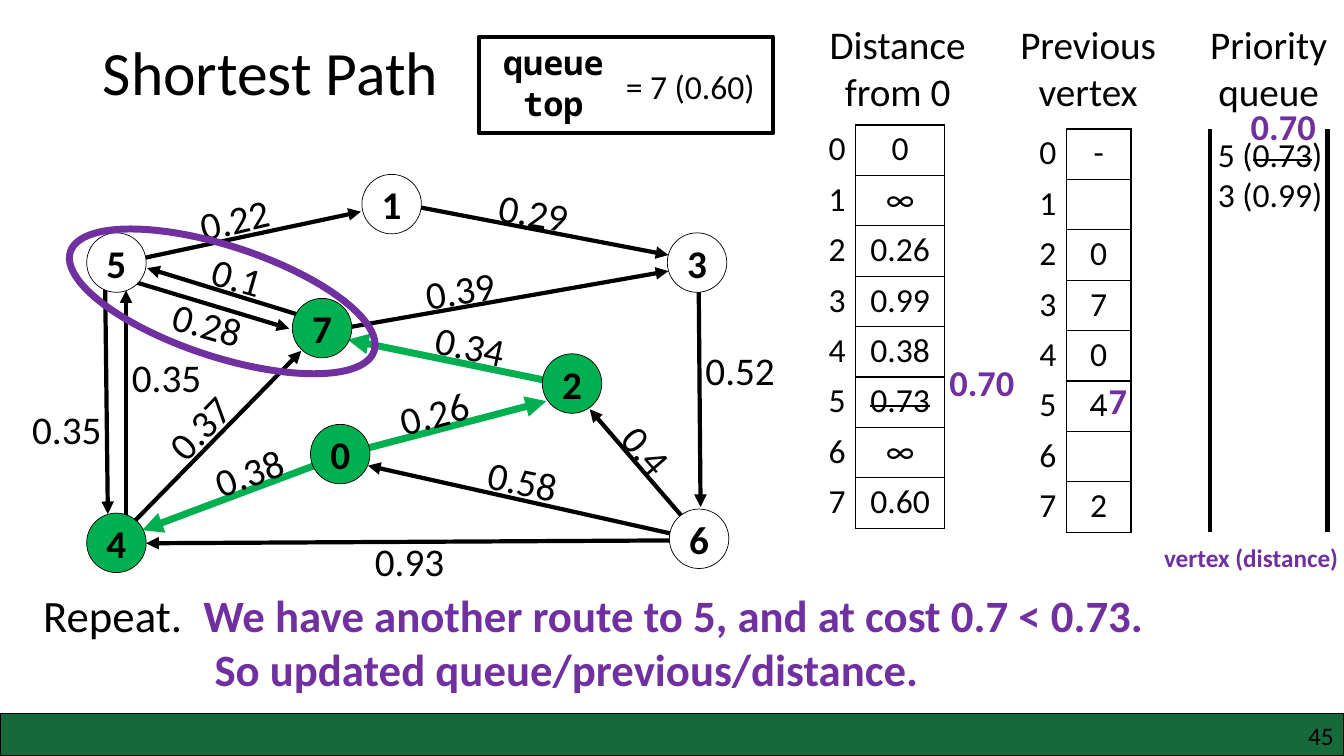
from lxml.etree import SubElement
from pptx import Presentation
from pptx.dml.color import RGBColor
from pptx.enum.shapes import MSO_CONNECTOR as Connector, MSO_SHAPE as Preset
from pptx.enum.text import MSO_ANCHOR as Anchor, PP_ALIGN as Align
from pptx.oxml.ns import qn
from pptx.util import Inches, Pt

BLACK, WHITE, GREEN, PURPLE, BAND = "000000", "FFFFFF", "00B050", "7030A0", "15693B"
COLUMNS, ROWS, CELL = 133.33, 75, 0.1
PLAIN_TABLE = "{2D5ABB26-0587-4C30-8999-92F81FD0307C}"
NODE = 5.9

VERTICES = [
    ("0", 30.8, 42.1, GREEN), ("1", 35.9, 17.3, WHITE), ("2", 53.8, 35.1, GREEN),
    ("3", 66.2, 23.1, WHITE), ("4", 8.6, 50.9, GREEN), ("5", 8.6, 23.1, WHITE),
    ("6", 66.4, 50.5, WHITE), ("7", 29, 29.6, GREEN),
]
EDGES = [
    (69.7, 53.6, 58.5, 40.6), (69.1, 53.5, 36.5, 46.2), (69.3, 53.6, 14.5, 53.9),
    (11.3, 53.8, 29.9, 34.8), (32.7, 32.8, 66.3, 26.9), (69.3, 26.5, 69.5, 50.3),
    (31.8, 31.9, 14.6, 26.6), (10.8, 27.2, 28.7, 32.6), (10.4, 25.3, 10.7, 51),
    (12.5, 52.9, 12.5, 28.8), (11.9, 26.1, 35.8, 21), (39.2, 20.1, 66.3, 25.3),
]
TREE_EDGES = [(34, 45.1, 54.2, 39.8), (34.1, 45.1, 14.1, 52.6), (56.9, 38.3, 34.5, 33.7)]
WEIGHTS = [
    ("0.35", 12.1, 34.6, 0), ("0.35", 2.2, 39.7, 0), ("0.37", 15, 38.7, 314),
    ("0.1", 20, 25.2, 16), ("0.28", 16.1, 29.6, 16), ("0.22", 18.8, 18.6, 347),
    ("0.38", 20.2, 43.6, 340), ("0.26", 38.6, 37.8, 345), ("0.39", 41.2, 25.7, 351),
    ("0.29", 48.5, 18.4, 10), ("0.34", 42.2, 31.7, 12), ("0.52", 69, 33.9, 0),
    ("0.93", 36.2, 52.8, 0), ("0.58", 47.4, 45.1, 12),
]
HEADINGS = [("Distance from 0", 80.5), ("Previous vertex", 99.4), ("Priority queue", 117.3)]
DISTANCES = ["0", "∞", "0.26", "0.99", "0.38", "0.73", "∞", "0.60"]
PREVIOUS = ["-", "", "0", "7", "0", "4", "", "2"]
OUTDATED = 5
UPDATES = [("0.70", 123.1, 9.8), ("7", 109, 37), ("0.70", 93.2, 35.2)]


def color(hex_string):
    return RGBColor.from_string(hex_string)


def grid(*lengths):
    return [Inches(length * CELL) for length in lengths]


def strike(run):
    run.font._element.set("strike", "sngStrike")


class Board:
    font = "Calibri"

    def __init__(self, deck):
        self.slide = deck.slides.add_slide(deck.slide_layouts[5])
        self.shapes = self.slide.shapes

    def style(self, paragraph, size, ink=BLACK, bold=False, align=Align.LEFT, font=None):
        paragraph.alignment = align
        face = paragraph.font
        face.name, face.size, face.bold = font or self.font, Pt(size), bold
        face.color.rgb = color(ink)

    def title(self, words, *place):
        title = self.shapes.title
        title.left, title.top, title.width, title.height = grid(*place)
        title.text_frame.text = words
        title.text_frame.vertical_anchor = Anchor.MIDDLE
        title.text_frame.paragraphs[0].line_spacing = 0.9
        self.style(title.text_frame.paragraphs[0], 44)

    def text(self, words, *place, size=28, turn=0, margin=None, **look):
        box = self.shapes.add_textbox(*grid(*place))
        box.rotation = turn
        frame = box.text_frame
        frame.word_wrap = True
        if margin is not None:
            frame.margin_left = frame.margin_right = frame.margin_top = frame.margin_bottom = margin
        frame.text = words
        for paragraph in frame.paragraphs:
            self.style(paragraph, size, **look)
        return frame

    def shape(self, preset, *place, fill=None, line=BLACK, weight=0.5, turn=0):
        shape = self.shapes.add_shape(preset, *grid(*place))
        shape.shadow.inherit = False
        shape.rotation = turn
        if fill:
            shape.fill.solid()
            shape.fill.fore_color.rgb = color(fill)
        else:
            shape.fill.background()
        shape.line.color.rgb = color(line)
        shape.line.width = Pt(weight)
        return shape

    def vertex(self, label, left, top, fill):
        frame = self.shape(Preset.OVAL, left, top, NODE, NODE, fill=fill).text_frame
        frame.margin_left = frame.margin_right = frame.margin_top = frame.margin_bottom = 0
        frame.vertical_anchor = Anchor.MIDDLE
        frame.text = label
        self.style(frame.paragraphs[0], 28, bold=True, align=Align.CENTER)

    def line(self, *ends, ink=BLACK, weight=3, arrow=True):
        line = self.shapes.add_connector(Connector.STRAIGHT, *grid(*ends))
        line.line.color.rgb = color(ink)
        line.line.width = Pt(weight)
        properties = line.element.spPr
        if arrow:
            SubElement(properties.find(qn("a:ln")), qn("a:tailEnd"), type="triangle")
        SubElement(properties, qn("a:effectLst"))

    def border(self, cell, sides):
        properties = cell._tc.get_or_add_tcPr()
        for side in sides:
            edge = SubElement(properties, qn(f"a:ln{side}"), w=str(Pt(1)))
            fill = SubElement(edge, qn("a:solidFill"))
            SubElement(fill, qn("a:srgbClr"), val=BLACK)

    def vertex_table(self, values, left, top, label_width, value_width):
        place = grid(left, top, label_width + value_width, 5 * len(values))
        table = self.shapes.add_table(len(values), 2, *place).table
        table.first_row = table.horz_banding = False
        table._tbl.tblPr.find(qn("a:tableStyleId")).text = PLAIN_TABLE
        table.columns[0].width, table.columns[1].width = grid(label_width, value_width)
        for index, value in enumerate(values):
            contents = [(str(index), Align.RIGHT, "R"), (value, Align.CENTER, "LRTB")]
            for column, (words, align, sides) in enumerate(contents):
                cell = table.cell(index, column)
                self.border(cell, sides)
                cell.fill.background()
                cell.margin_top = cell.margin_bottom = Inches(0.04)
                cell.text = words
                self.style(cell.text_frame.paragraphs[0], 24, align=align)
        strike(table.cell(OUTDATED, 1).text_frame.paragraphs[0].runs[0])

    def queue(self, *place):
        frame = self.text("5 (\n3 (0.99)", *place, size=24, align=Align.CENTER)
        first = frame.paragraphs[0]
        old_distance = first.add_run()
        old_distance.text = "0.73"
        strike(old_distance)
        first.add_run().text = ")"

    def remark(self, lead, finding, outcome, *place):
        frame = self.text("", *place, size=32)
        first, second = frame.paragraphs[0], frame.add_paragraph()
        properties = first._p.get_or_add_pPr()
        stops = SubElement(properties, qn("a:tabLst"))
        SubElement(stops, qn("a:tab"), pos=str(Inches(1.59)), algn="l")
        properties.insert(0, stops)
        first.add_run().text = lead + "\t"
        reason = first.add_run()
        reason.text = finding
        reason.font.bold = True
        reason.font.color.rgb = color(PURPLE)
        second._p.get_or_add_pPr().set("marL", str(Inches(1.7)))
        second.add_run().text = outcome
        self.style(second, 32, PURPLE, True)


def main():
    deck = Presentation()
    deck.slide_width, deck.slide_height = grid(COLUMNS, ROWS)
    board = Board(deck)
    board.title("Shortest Path", 9.2, 0.2, 115, 14.5)
    for heading, left in HEADINGS:
        board.text(heading, left, 1.5, 17.1, 10.4, align=Align.CENTER)
    board.vertex_table(PREVIOUS, 99.4, 12.8, 6.4, 6.4)
    board.queue(118.5, 12.8, 15, 9.1)
    for wall in (120, 131.7):
        board.line(wall, 12.8, wall, 52.8, arrow=False)
    board.remark("Repeat.", "We have another route to 5, and at cost 0.7 < 0.73.",
                 "So updated queue/previous/distance.", 3.3, 57.8, 126.3, 11.8)

    board.text("queue\ntop", 48.2, 3.7, 13.4, 9.1, size=24, bold=True,
               align=Align.CENTER, font="Noto Sans Mono")
    board.text("= 7 (0.60)", 61.1, 6, 18.6, 5, size=24)
    board.shape(Preset.RECTANGLE, 47.5, 3.7, 29.2, 9.5, weight=3)

    for edge in EDGES:
        board.line(*edge)
    for edge in TREE_EDGES:
        board.line(*edge, ink=GREEN, weight=5)
    for vertex in VERTICES:
        board.vertex(*vertex)
    for weight, left, top, turn in WEIGHTS:
        board.text(weight, left, top, 11.2, 5.8, turn=turn)
    board.text("0.4", 60.4, 42.4, 8.5, 5.8, turn=49)

    board.shape(Preset.OVAL, 6.2, 24.4, 31.7, 11, line=PURPLE, weight=5, turn=18.1)
    board.vertex_table(DISTANCES, 78.6, 12.4, 6.3, 8.8)
    for value, left, top in UPDATES:
        board.text(value, left, top, 10.4, 5.4, size=26, ink=PURPLE, bold=True)
    board.shape(Preset.RECTANGLE, 0, 70.8, COLUMNS, 4.2, fill=BAND, weight=1)
    board.text("45", 127.7, 71.5, 4.6, 3, size=18, align=Align.RIGHT, margin=0)
    board.text("vertex (distance)", 114.5, 53.3, 20.4, 4, size=18, ink=PURPLE, bold=True)
    deck.save("out.pptx")


if __name__ == "__main__":
    main()
